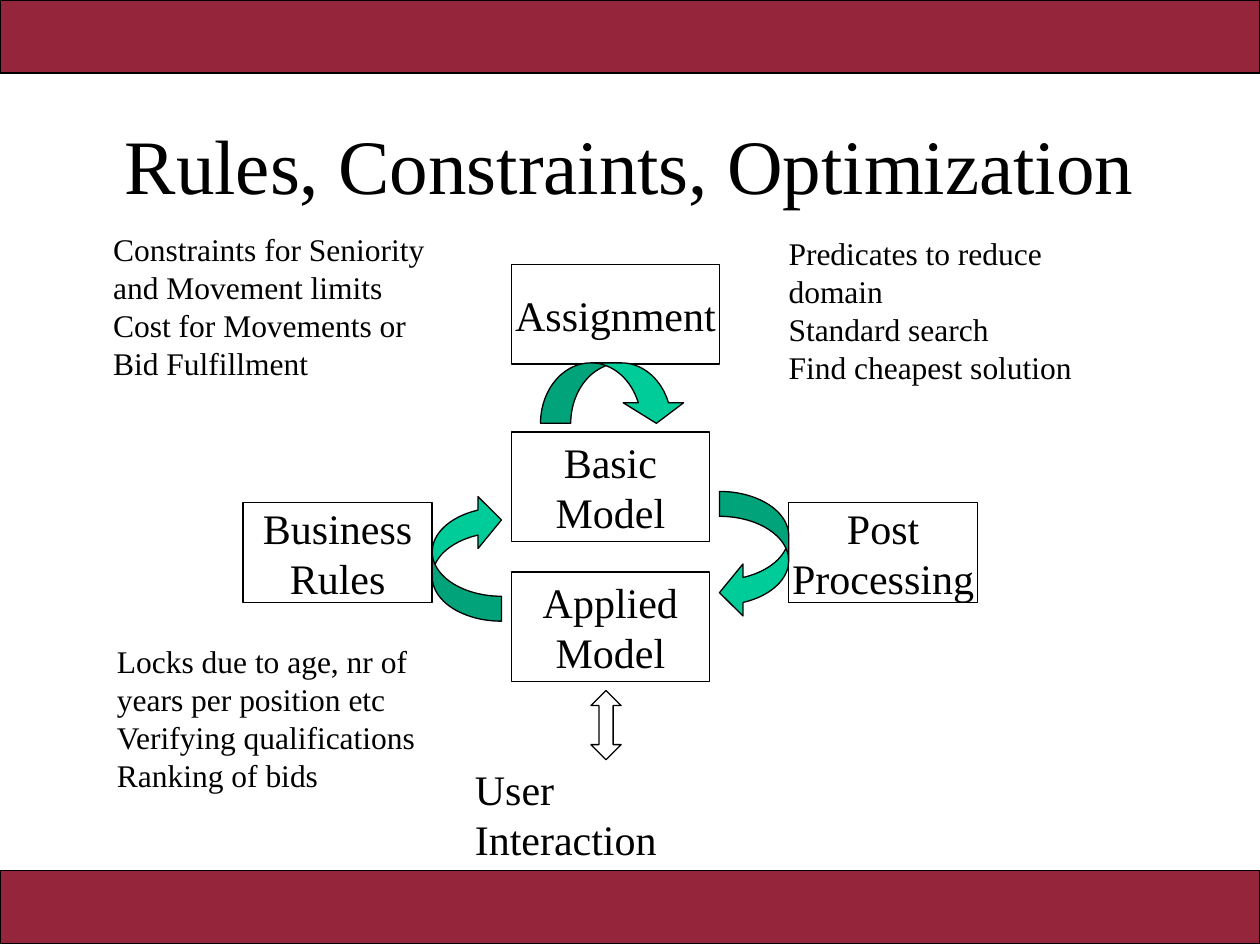
import pptx
import pptx.dml.color
import pptx.enum.shapes
import pptx.enum.text
import pptx.util

Inches = pptx.util.Inches
SHAPE = pptx.enum.shapes.MSO_SHAPE
ALIGN = pptx.enum.text.PP_ALIGN
ANCHOR = pptx.enum.text.MSO_ANCHOR
FONT = "Times New Roman"
BLACK, MAROON, GREEN = "000000", "95253A", "00CC99"


def rgb(value):
    """Return a colour from a hex string."""
    return pptx.dml.color.RGBColor.from_string(value)


def write(sp, lines, size, align=ALIGN.LEFT, anchor=ANCHOR.TOP):
    """Fill a shape with one paragraph per line."""
    tf = sp.text_frame
    tf.word_wrap = False
    tf.vertical_anchor = anchor
    for i, line in enumerate(lines):
        p = tf.paragraphs[0] if i == 0 else tf.add_paragraph()
        p.alignment = align
        r = p.add_run()
        r.text = line
        r.font.name = FONT
        r.font.size = pptx.util.Pt(size)
        r.font.color.rgb = rgb(BLACK)


def add_preset(s, kind, box, fill=None, adjustments=()):
    """Add an outlined preset shape in the given box."""
    sp = s.shapes.add_shape(kind, *map(Inches, box))
    sp.shadow.inherit = False
    if fill:
        sp.fill.solid()
        sp.fill.fore_color.rgb = rgb(fill)
    else:
        sp.fill.background()
    sp.line.color.rgb = rgb(BLACK)
    sp.line.width = pptx.util.Pt(0.74)
    for i, value in enumerate(adjustments):
        sp.adjustments[i] = value
    return sp


def add_text(s, box, lines, size, **layout):
    """Add a text box with the given lines."""
    write(s.shapes.add_textbox(*map(Inches, box)), lines, size, **layout)


def add_frame(s):
    """Add the bars at the top and bottom, and the title."""
    for top in (0, 6.91):
        add_preset(s, SHAPE.RECTANGLE, (0, top, 10, 0.58), MAROON)
    add_text(s, (0.75, 0.67, 8.5, 1.25), ["Rules, Constraints, Optimization"], 44,
             align=ALIGN.CENTER, anchor=ANCHOR.MIDDLE)


def add_diagram(s, left, top):
    """Add the boxes and arrows, measured from the diagram's top left corner."""
    boxes = [
        (2.13, 0, 1.65, 0.79, ["Assignment"]),
        (2.13, 1.33, 1.57, 0.87, ["Basic", "Model"]),
        (2.13, 2.44, 1.57, 0.87, ["Applied", "Model"]),
        (0, 1.89, 1.5, 0.79, ["Business", "Rules"]),
        (4.33, 1.89, 1.5, 0.79, ["Post", "Processing"]),
    ]
    for x, y, w, h, lines in boxes:
        sp = add_preset(s, SHAPE.RECTANGLE, (left + x, top + y, w, h))
        write(sp, lines, 24, ALIGN.CENTER, ANCHOR.MIDDLE)

    side = (0.36, 0.75, 0.34)
    arrows = [
        (SHAPE.CURVED_DOWN_ARROW, 2.36, 0.78, 1.16, 0.48, GREEN, (0.5, 1, 0.34), 0),
        (SHAPE.CURVED_LEFT_ARROW, 1.5, 1.82, 0.55, 1.01, GREEN, side, 180),
        (SHAPE.CURVED_LEFT_ARROW, 3.78, 1.8, 0.55, 1.01, GREEN, side, 0),
        (SHAPE.UP_DOWN_ARROW, 2.76, 3.38, 0.24, 0.55, None, (0.5, 0.47), 0),
    ]
    for kind, x, y, w, h, fill, adjustments, turn in arrows:
        sp = add_preset(s, kind, (left + x, top + y, w, h), fill, adjustments)
        sp.rotation = turn
    add_text(s, (left + 1.74, top + 3.91, 2.35, 0.5), ["User Interaction"], 24)


def add_notes(s):
    """Add the remarks around the diagram."""
    remarks = [
        ((0.8, 1.78, 2.67, 1.3), ["Constraints for Seniority", "and Movement limits",
                                  "Cost for Movements or", "Bid Fulfillment"]),
        ((6.16, 1.81, 3.02, 1), ["Predicates to reduce domain", "Standard search",
                                 "Find cheapest solution"]),
        ((0.83, 5.05, 2.59, 1.3), ["Locks due to age, nr of", "years per position etc",
                                   "Verifying qualifications", "Ranking of bids"]),
    ]
    for box, lines in remarks:
        add_text(s, box, lines, 18)


prs = pptx.Presentation()
prs.slide_width, prs.slide_height = Inches(10), Inches(7.5)
s = prs.slides.add_slide(prs.slide_layouts[6])
add_frame(s)
add_diagram(s, 1.93, 2.1)
add_notes(s)
prs.save("out.pptx")
